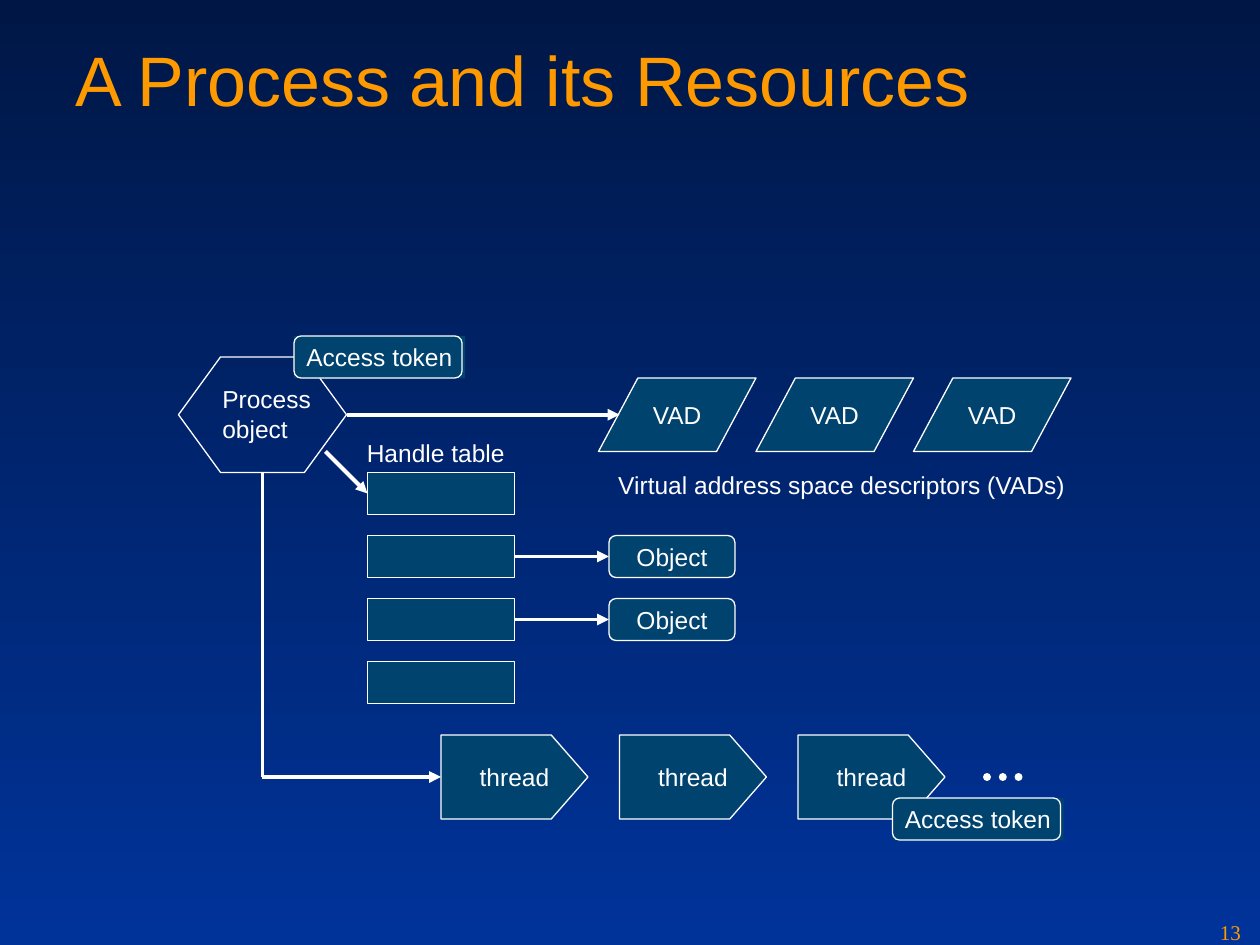
from lxml import etree
from pptx import Presentation
from pptx import util as u
from pptx.dml import color
from pptx.enum import shapes, text
from pptx.oxml import ns

UNIT = u.Inches(1) // 12
WHITE, TEAL, ORANGE = "FFFFFF", "00436E", "FE9900"
KIND = shapes.MSO_SHAPE


def g(n):
    return round(n * UNIT)


def rgb(value):
    return color.RGBColor.from_string(value)


def write(sp, words, size=14, font="Arial", ink=WHITE, center=False, wrap=False):
    tf = sp.text_frame
    tf.text = words
    tf.word_wrap = wrap
    tf.auto_size = text.MSO_AUTO_SIZE.NONE
    tf.margin_left = tf.margin_right = u.Inches(0.1)
    tf.margin_top = tf.margin_bottom = u.Inches(0.05)
    tf.vertical_anchor = text.MSO_ANCHOR.MIDDLE if center else text.MSO_ANCHOR.TOP
    for p in tf.paragraphs:
        p.alignment = text.PP_ALIGN.CENTER if center else text.PP_ALIGN.LEFT
        for r in p.runs:
            r.font.size = u.Pt(size)
            r.font.name = font
            r.font.color.rgb = rgb(ink)


def label(s, words, x, y, w, h, **style):
    sp = s.shapes.add_textbox(g(x), g(y), g(w), g(h))
    write(sp, words, **style)
    return sp


def paint(sp, fill=TEAL, words=None):
    sp.shadow.inherit = False
    if fill:
        sp.fill.solid()
        sp.fill.fore_color.rgb = rgb(fill)
    else:
        sp.fill.background()
    sp.line.color.rgb = rgb(WHITE)
    sp.line.width = u.Pt(0.75)
    if words:
        write(sp, words, center=True)


def block(s, kind, x, y, w, h, adj=None, fill=TEAL, words=None):
    sp = s.shapes.add_shape(kind, g(x), g(y), g(w), g(h))
    if adj is not None:
        sp.adjustments[0] = adj
    paint(sp, fill, words)


def link(s, x1, y1, x2, y2, width=2.25, arrow=True, dots=False):
    c = s.shapes.add_connector(shapes.MSO_CONNECTOR.STRAIGHT, g(x1), g(y1), g(x2), g(y2))
    c.line.color.rgb = rgb(WHITE)
    c.line.width = u.Pt(width)
    ln = c.line._get_or_add_ln()
    if dots:
        ln.set("cap", "rnd")
        etree.SubElement(ln, ns.qn("a:prstDash"), val="sysDot")
    if arrow:
        etree.SubElement(ln, ns.qn("a:tailEnd"), type="triangle")
    etree.SubElement(c._element.spPr, ns.qn("a:effectLst"))


def access_token(s, x, y):
    sp = label(s, "Access token", x, y, 16.3, 4.05)
    sp.fill.solid()
    sp.fill.fore_color.rgb = rgb(TEAL)
    block(s, KIND.ROUNDED_RECTANGLE, x, y, 16, 4, 0.167, None)


def process(s, x, y):
    block(s, KIND.HEXAGON, x, y, 16, 11, 0.364, None)
    label(s, "Process\nobject", x + 3, y + 2, 10.8, 6.8)
    access_token(s, x + 11, y - 2)


def descriptors(s, x, y):
    for i in range(3):
        block(s, KIND.PARALLELOGRAM, x + 15 * i, y, 15, 7, 0.536, words="VAD")
    label(s, "Virtual address space descriptors (VADs)", x + 0.7, y + 8.15, 45, 4)


def handle_table(s, x, y):
    label(s, "Handle table", x - 1.25, y - 3.85, 15.5, 4)
    for i in range(4):
        top = y + 6 * i
        block(s, KIND.RECTANGLE, x, top, 14, 4)
        if i in (1, 2):
            block(s, KIND.ROUNDED_RECTANGLE, x + 23, top, 12, 4, 0.167, words="Object")
            link(s, x + 14, top + 2, x + 23, top + 2)


def threads(s, x, y):
    for i in range(3):
        left = x + 17 * i
        fb = s.shapes.build_freeform(g(left), g(y))
        fb.add_line_segments([(g(left + dx), g(y + dy)) for dx, dy in
                              ((10.5, 0), (14, 4), (10.5, 8), (0, 8))])
        paint(fb.convert_to_shape(), words="thread")
    access_token(s, x + 43, y + 6)
    link(s, x + 52, y + 4, x + 56, y + 4, 4.5, arrow=False, dots=True)


def process_links(s, x, y):
    link(s, x + 16, y + 5.5, x + 42, y + 5.5)
    link(s, x + 14, y + 9, x + 18, y + 13)
    link(s, x + 8, y + 11, x + 8, y + 40, arrow=False)
    link(s, x + 8, y + 40, x + 25, y + 40)


def heading(s, x, y, w, h):
    sp = s.shapes.title
    sp.left, sp.top, sp.width, sp.height = g(x), g(y), g(w), g(h)
    write(sp, "A Process and its Resources", 40, ink=ORANGE, wrap=True)


def backdrop(s):
    fill = s.background.fill
    fill.gradient()
    fill.gradient_angle = 270
    for stop, shade in zip(fill.gradient_stops, ("001746", "003399")):
        stop.color.rgb = rgb(shade)


def main():
    prs = Presentation()
    prs.slide_width, prs.slide_height = g(120), g(90)
    s = prs.slides.add_slide(prs.slide_layouts[5])
    backdrop(s)
    heading(s, 6, 2.9, 108, 15)
    process(s, 17, 34)
    descriptors(s, 57, 36)
    handle_table(s, 35, 45)
    threads(s, 42, 70)
    process_links(s, 17, 34)
    label(s, "13", 115, 87, 5, 3, size=12, font="Times New Roman", ink=ORANGE, wrap=True)
    prs.save("out.pptx")


if __name__ == "__main__":
    main()
